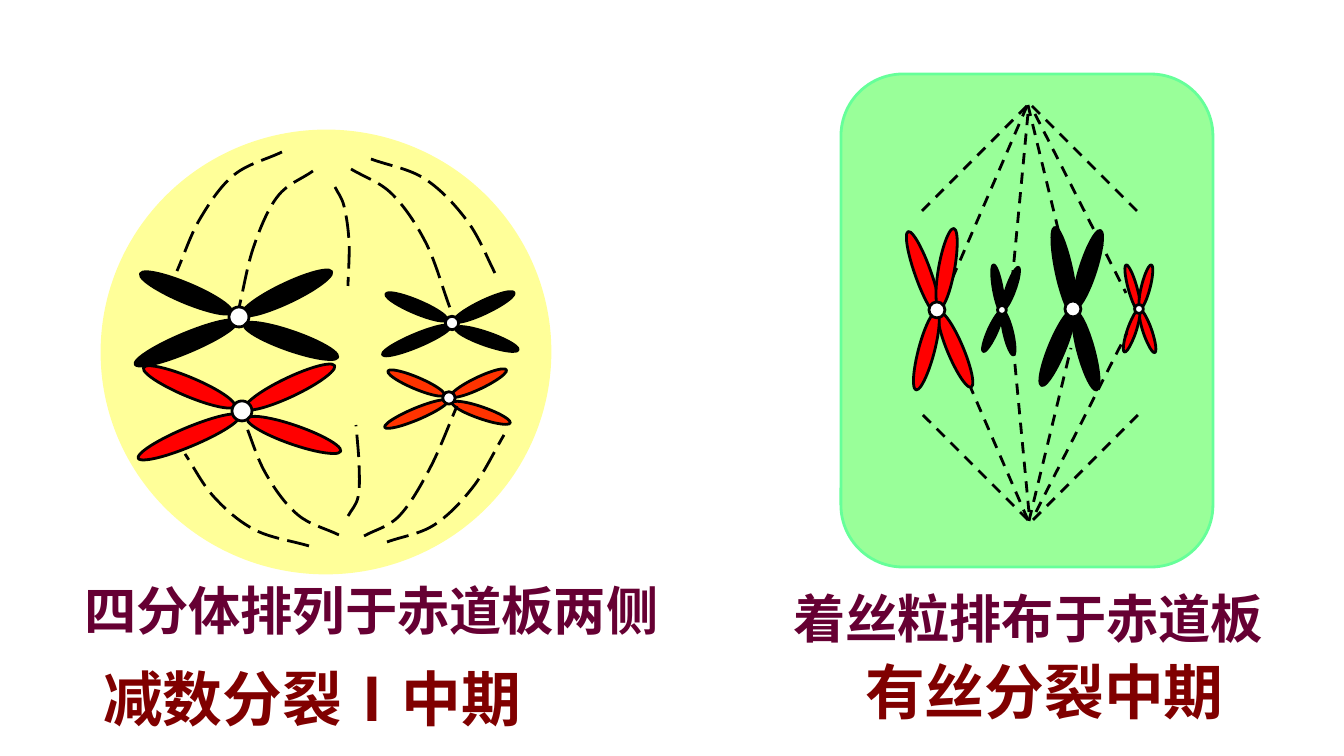
"""Build a slide comparing metaphase of meiosis I with metaphase of mitosis."""
import math

import pptx
import pptx.dml.color
import pptx.enum.dml
import pptx.enum.shapes
import pptx.oxml.ns
import pptx.util
from lxml import etree

PX = 914400 / 134.4
SHAPES = pptx.enum.shapes.MSO_SHAPE
DASHES = pptx.enum.dml.MSO_LINE
THEME = {
    "ink": "000000", "red": "FF0000", "orange": "FF3300", "white": "FFFFFF",
    "yellow": "FFFF99", "green": "99FF99", "green_edge": "66FF99",
    "plum": "660033", "maroon": "800000",
    "line": 1.5, "caption": 28, "phase": 32,
    "caption_font": "Noto Sans CJK SC", "phase_font": "Arial",
}

LYING = {
    "arms": [(-53, 26, 110, 337.2), (48, -24, 99, 334.5), (52, 24, 99, 19.2), (-53, -24, 99, 22.9)],
    "thick": 19, "centromere": 20,
}
STANDING = {
    "arms": [(-9, -38, 89, 78), (13, 42, 81, 74.8), (-16, 39, 81, 112.4), (15, -40, 81, 107.8)],
    "thick": 16, "centromere": 16,
}
TETRADS = [
    (239, 317, 1, "ink"), (242, 411, 1, "red"),
    (449, 398, 0.62, "orange"), (452, 323, 0.67, "ink"),
]
SPINDLE_CURVES = [
    (357.6, [(313, 171), (278, 196), (254, 246), (239, 308)]),
    (189.3, [(364, 536), (399, 516), (430, 468), (457, 406)]),
    (356.5, [(351, 169), (392, 194), (426, 243), (450, 308)]),
    (357.6, [(339, 535), (298, 515), (266, 474), (245, 423)]),
    (357.6, [(282, 152), (234, 175), (200, 219), (177, 271)]),
    (356.5, [(371, 159), (425, 179), (468, 222), (497, 277)]),
    (357.6, [(309, 546), (255, 530), (214, 497), (185, 454)]),
    (189.3, [(387, 542), (434, 525), (473, 487), (504, 435)]),
    (165.8, [(348, 516), (358, 497), (359, 465), (356, 425)]),
    (189.3, [(335, 187), (344, 206), (349, 242), (348, 286)]),
]
UPPER_FIBRES = [
    (1028, 105, 1070, 278), (1027, 106, 946, 293), (1027, 106, 922, 211),
    (1032, 106, 1137, 211), (1028, 114, 1011, 293), (1035, 114, 1126, 293),
]
LOWER_FIBRES = [(x1 + 1, 626 - y1, x2 + 1, 626 - y2) for x1, y1, x2, y2 in UPPER_FIBRES]
LABELS = [
    (71, 572, 616, 77, "四分体排列于赤道板两侧", "caption", "plum"),
    (780, 580, 539, 77, "着丝粒排布于赤道板", "caption", "plum"),
    (90, 655, 465, 86, "减数分裂Ⅰ中期", "phase", "maroon"),
    (852, 648, 415, 86, "有丝分裂中期", "phase", "maroon"),
]


def px(*lengths):
    return [round(n * PX) for n in lengths]


def color(name):
    return pptx.dml.color.RGBColor.from_string(THEME[name])


def rotate(x, y, angle):
    cos, sin = math.cos(math.radians(angle)), math.sin(math.radians(angle))
    return x * cos - y * sin, x * sin + y * cos


def style_line(line, name, dash=None):
    line.color.rgb = color(name)
    line.width = pptx.util.Pt(THEME["line"])
    if dash:
        line.dash_style = dash


def add_shape(shapes, kind, x, y, w, h, fill, edge, angle=0):
    sp = shapes.add_shape(kind, *px(x, y, w, h))
    sp.shadow.inherit = False
    sp.rotation = angle % 360
    sp.fill.solid()
    sp.fill.fore_color.rgb = color(fill)
    style_line(sp.line, edge)


def add_oval(shapes, cx, cy, w, h, fill, angle=0):
    add_shape(shapes, SHAPES.OVAL, cx - w / 2, cy - h / 2, w, h, fill, "ink", angle)


def add_chromosome(shapes, form, cx, cy, scale, fill, turn=0):
    for dx, dy, length, angle in form["arms"]:
        x, y = rotate(dx * scale, dy * scale, turn)
        add_oval(shapes, cx + x, cy + y, length * scale, form["thick"] * scale, fill, angle + turn)
    size = form["centromere"] * scale
    add_oval(shapes, cx, cy, size, size, "white")


def unrotate(points, angle):
    turned = [rotate(x, y, -angle) for x, y in points]
    middle = [(min(axis) + max(axis)) / 2 for axis in zip(*turned)]
    center = rotate(*middle, angle)
    return [(x + center[0] - middle[0], y + center[1] - middle[1]) for x, y in turned]


def round_corners(sp):
    """Turn the straight segments of a freeform into a smooth cubic curve."""
    qn = pptx.oxml.ns.qn
    knots = [(int(pt.get("x")), int(pt.get("y"))) for pt in sp._element.iter(qn("a:pt"))]
    first = [2 * a - b for a, b in zip(knots[0], knots[1])]
    last = [2 * a - b for a, b in zip(knots[-1], knots[-2])]
    knots = [first, *knots, last]
    segments = list(sp._element.iter(qn("a:lnTo")))
    for segment, a, b, c, d in zip(segments, knots, knots[1:], knots[2:], knots[3:]):
        leave = [q + (r - p) / 6 for p, q, r in zip(a, b, c)]
        arrive = [q - (r - p) / 6 for p, q, r in zip(b, c, d)]
        cubic = etree.Element(qn("a:cubicBezTo"))
        for x, y in (leave, arrive, c):
            etree.SubElement(cubic, qn("a:pt"), x=str(round(x)), y=str(round(y)))
        segment.getparent().replace(segment, cubic)


def add_curve(shapes, angle, points):
    path = [px(*point) for point in unrotate(points, angle)]
    builder = shapes.build_freeform(*path[0], scale=1.0)
    builder.add_line_segments(path[1:], close=False)
    sp = builder.convert_to_shape()
    round_corners(sp)
    sp.rotation = angle
    sp.shadow.inherit = False
    sp.fill.background()
    style_line(sp.line, "ink", DASHES.LONG_DASH)


def add_fibres(shapes, fibres):
    for ends in fibres:
        line = shapes.add_connector(pptx.enum.shapes.MSO_CONNECTOR.STRAIGHT, *px(*ends))
        style_line(line.line, "ink", DASHES.DASH)
        etree.SubElement(line._element.spPr, pptx.oxml.ns.qn("a:effectLst"))


def add_label(shapes, x, y, w, h, text, role, fill):
    tf = shapes.add_textbox(*px(x, y, w, h)).text_frame
    tf.word_wrap = True
    r = tf.paragraphs[0].add_run()
    r.text = text
    r.font.name = THEME[role + "_font"]
    r.font.size = pptx.util.Pt(THEME[role])
    r.font.bold = True
    r.font.color.rgb = color(fill)
    ea = etree.SubElement(r._r.get_or_add_rPr(), pptx.oxml.ns.qn("a:ea"))
    ea.set("typeface", THEME[role + "_font"])


def main():
    prs = pptx.Presentation()
    prs.slide_width, prs.slide_height = px(1344, 756)
    s = prs.slides.add_slide(prs.slide_layouts[6])

    meiosis = s.shapes.add_group_shape().shapes
    add_shape(meiosis, SHAPES.OVAL, 102, 131, 448, 442, "yellow", "yellow", 357.6)
    for tetrad in TETRADS:
        add_chromosome(meiosis, LYING, *tetrad)
    for angle, points in SPINDLE_CURVES:
        add_curve(meiosis, angle, points)

    mitosis = s.shapes.add_group_shape().shapes
    add_shape(mitosis, SHAPES.ROUNDED_RECTANGLE, 841, 74, 372, 493, "green", "green_edge")
    add_chromosome(mitosis, STANDING, 1073, 309, 1, "ink")
    add_chromosome(mitosis, STANDING, 1002, 310, 0.55, "ink", 1.9)
    add_fibres(mitosis, UPPER_FIBRES)
    add_chromosome(mitosis, STANDING, 1139, 309, 0.55, "red", -3.6)
    add_fibres(mitosis, LOWER_FIBRES)
    add_chromosome(mitosis, STANDING, 937, 310, 1, "red", -7.6)

    for label in LABELS:
        add_label(s.shapes, *label)
    prs.save("out.pptx")


if __name__ == "__main__":
    main()
